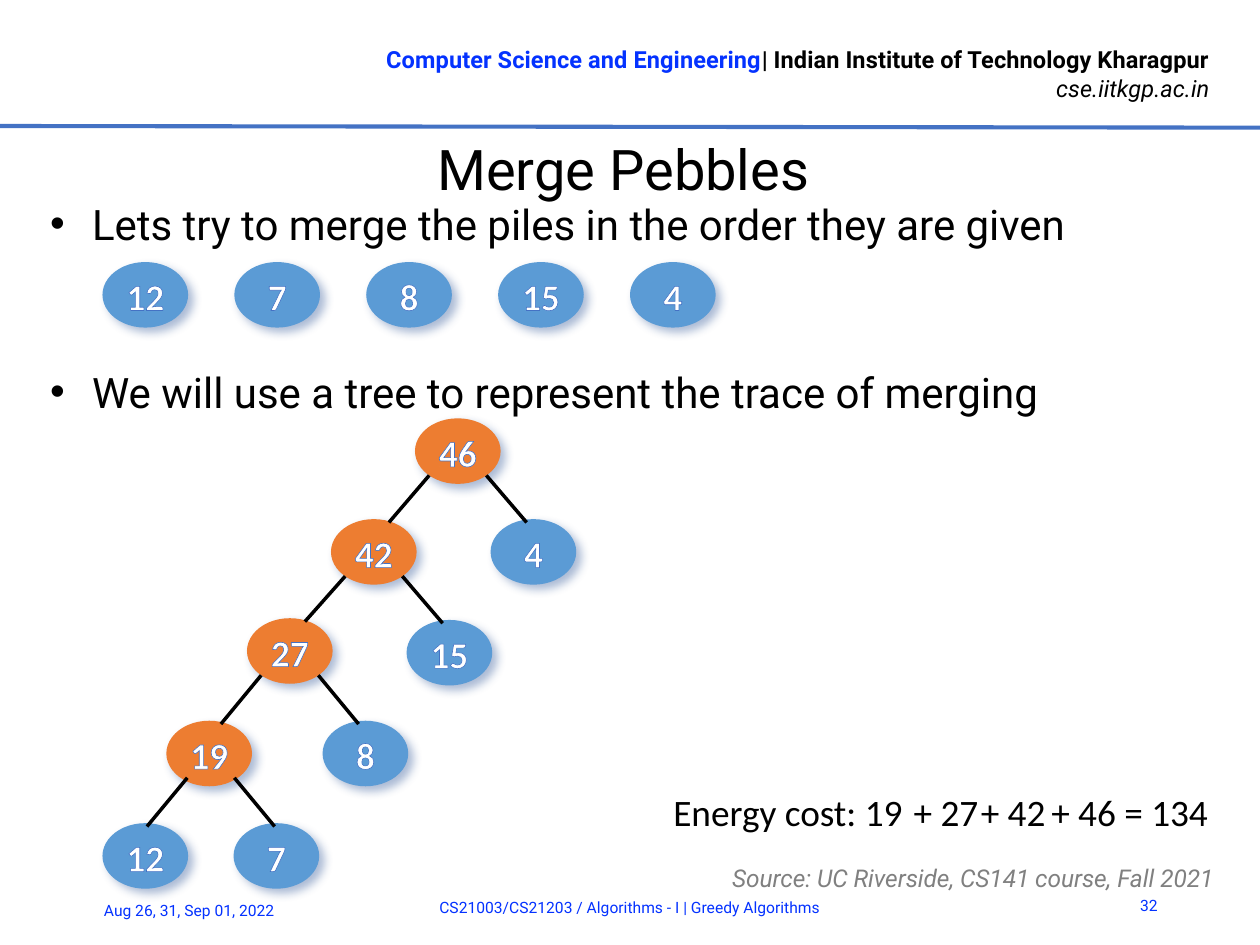
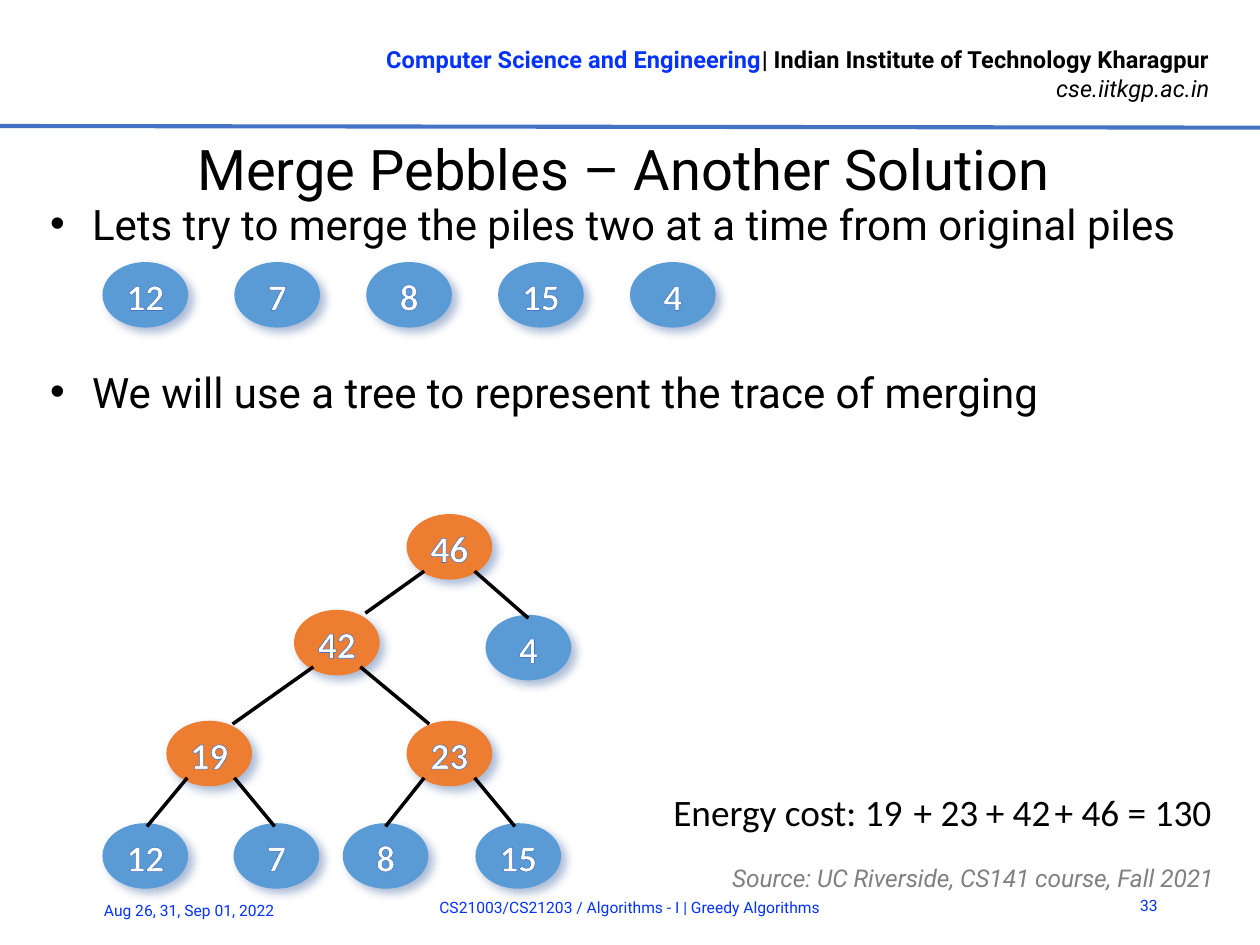
from dataclasses import dataclass

from pptx import Presentation
from pptx.dml.color import RGBColor as Rgb
from pptx.enum.shapes import MSO_CONNECTOR as Link, MSO_SHAPE as Kind
from pptx.enum.text import MSO_ANCHOR as Anchor, MSO_AUTO_SIZE as Auto, PP_ALIGN as Align
from pptx.oxml import parse_xml
from pptx.oxml.ns import nsdecls, qn
from pptx.util import Inches, Pt


@dataclass(frozen=True)
class Theme:
    head: str = "Roboto"
    body: str = "Calibri"
    ink: str = "000000"
    blue: str = "0432FF"
    rule: str = "4472C4"
    grey: str = "808080"
    white: str = "FFFFFF"
    leaf: str = "5B9BD5"
    sum: str = "ED7D31"
    shade: str = "2F5597"
    title_pt: float = 24
    list_pt: float = 18
    node_pt: float = 16
    note_pt: float = 10.5
    band_pt: float = 10.13
    foot_pt: float = 6.75


T = Theme()
WIDTH = 7.5
NODE_W, NODE_H = 0.51, 0.39
PILES = [12, 7, 8, 15, 4]
GROW = {"word_wrap": False, "auto_size": Auto.SHAPE_TO_FIT_TEXT}
MID = {"vertical_anchor": Anchor.MIDDLE}
LIST = {"line_spacing": Pt(18), "space_before": Pt(3), "space_after": Pt(3)}

# value: (left, top, parent, start and end shift of the edge from the node centres)
ORDER_TREE = {
    46: (2.47, 2.49, None, 0, 0),
    42: (1.97, 3.09, 46, -0.17, 0.09),
    4: (2.92, 3.09, 46, 0.17, -0.04),
    27: (1.47, 3.68, 42, -0.17, 0.09),
    15: (2.42, 3.69, 42, 0.17, -0.04),
    19: (0.99, 4.29, 27, -0.17, 0.07),
    8: (1.92, 4.29, 27, 0.17, -0.04),
    12: (0.61, 4.9, 19, -0.13, 0.01),
    7: (1.39, 4.9, 19, 0.15, -0.01),
}
PAIR_TREE = {
    46: (2.42, 3.06, None, 0, 0),
    42: (1.75, 3.63, 46, -0.15, 0.17),
    4: (2.89, 3.66, 46, 0.15, 0),
    19: (0.99, 4.29, 42, -0.14, 0.14),
    23: (2.42, 4.29, 42, 0.14, -0.12),
    12: (0.61, 4.9, 19, -0.13, 0.01),
    7: (1.39, 4.9, 19, 0.15, -0.01),
    8: (2.04, 4.9, 23, -0.15, 0),
    15: (2.83, 4.9, 23, 0.15, -0.02),
}
SLIDES = [
    ("32", "Merge Pebbles",
     "Lets try to merge the piles in the order they are given", ORDER_TREE,
     [(5.29, 0.64, " + 27"), (5.69, 0.64, " + 42"), (6.11, 1.2, " + 46 = 134")]),
    ("33", "Merge Pebbles – Another Solution",
     "Lets try to merge the piles two at a time from original piles", PAIR_TREE,
     [(5.29, 0.64, " + 23"), (5.72, 0.64, " + 42"), (6.13, 1.2, " + 46 = 130")]),
]


def apply(item, form):
    for key, val in form.items():
        setattr(item, key, val)


def add_run(para, words, size, color=T.ink, name=T.head, **form):
    run = para.add_run()
    run.text = words
    apply(run.font, {"name": name, "size": Pt(size), **form})
    run.font.color.rgb = Rgb.from_string(color)
    return run


def add_text(slide, box, lines, frame={}, form={}):
    """Add a text box; each line is a list of (words, size, run format)."""
    area = slide.shapes.add_textbox(*map(Inches, box)).text_frame
    apply(area, {"word_wrap": True, **frame})
    for num, runs in enumerate(lines):
        para = area.add_paragraph() if num else area.paragraphs[0]
        apply(para, form)
        for words, size, look in runs:
            add_run(para, words, size, **look)
    return area.paragraphs


def add_line(slide, start, end, color, width):
    line = slide.shapes.add_connector(Link.STRAIGHT, *map(Inches, start + end))
    line.line.color.rgb = Rgb.from_string(color)
    line.line.width = Pt(width)
    line._element.spPr.append(parse_xml(f"<a:effectLst {nsdecls('a')}/>"))


def add_node(slide, value, left, top, color):
    node = slide.shapes.add_shape(Kind.OVAL, *map(Inches, (left, top, NODE_W, NODE_H)))
    node.fill.solid()
    node.fill.fore_color.rgb = Rgb.from_string(color)
    node.line.fill.background()
    node.shadow.inherit = False
    node._element.spPr.find(qn("a:effectLst")).append(parse_xml(
        f'<a:outerShdw {nsdecls("a")} blurRad="{Pt(4)}" dist="{Pt(3)}" dir="2700000" '
        f'algn="tl" rotWithShape="0"><a:srgbClr val="{T.shade}">'
        '<a:alpha val="40000"/></a:srgbClr></a:outerShdw>'))
    area = node.text_frame
    apply(area, {"word_wrap": False, "margin_left": 0, "margin_right": 0,
                 "margin_top": Inches(0.01), "margin_bottom": 0, **MID})
    para = area.paragraphs[0]
    para.alignment = Align.CENTER
    run = add_run(para, str(value), T.node_pt, T.white, T.body, bold=True)
    run.font._element.insert(0, parse_xml(
        f'<a:ln {nsdecls("a")} w="{Pt(0.8)}"><a:solidFill>'
        f'<a:srgbClr val="{T.rule}"/></a:solidFill></a:ln>'))


def add_tree(slide, tree):
    """Draw the nodes, merged sums in their own colour, then the edges."""
    sums = {spot[2] for spot in tree.values()}
    for value, (left, top, *_) in tree.items():
        add_node(slide, value, left, top, T.sum if value in sums else T.leaf)
    for left, top, root, foot, tip in tree.values():
        if root:
            root_x, root_y = tree[root][:2]
            add_line(slide, (root_x + NODE_W / 2 + foot, root_y + 0.34),
                     (left + NODE_W / 2 + tip, top + 0.02), T.ink, 1.5)


def add_list(slide, items):
    lines = [[(item, T.list_pt, {})] for item in items]
    paras = add_text(slide, (0.2, 1.18, 7.03, 4.05), lines, form=LIST)
    paras[1].space_before = Pt(51)
    for para in paras:
        props = para._p.get_or_add_pPr()
        props.set("marL", str(Inches(0.25)))
        props.set("indent", str(-Inches(0.25)))
        for mark in ('buFont {} typeface="Arial"', 'buChar {} char="•"'):
            props.append(parse_xml(f"<a:{mark.format(nsdecls('a'))}/>"))


def add_frame(slide, title, page):
    """Add the band, title, source note and footer."""
    add_text(slide, (1.91, 0.22, 5.39, 0.44), [
        [("Computer Science and Engineering", T.band_pt, {"color": T.blue, "bold": True}),
         ("| Indian Institute of Technology Kharagpur", T.band_pt, {"bold": True})],
        [("cse.iitkgp.ac.in", T.band_pt, {"italic": True})],
    ], GROW, {"alignment": Align.RIGHT})
    add_line(slide, (0, 0.75), (WIDTH, 0.76), T.rule, 1.75)
    flush = {"margin_left": 0, "margin_top": Inches(0.01),
             "margin_right": 0, "margin_bottom": 0}
    add_text(slide, (0.24, 0.79, 6.94, 0.41), [[(title, T.title_pt, {})]],
             {**MID, **flush}, {"alignment": Align.CENTER, "space_before": Pt(0.5)})
    add_text(slide, (4.26, 5.09, 3.18, 0.2),
             [[("Source: UC Riverside, CS141 course, Fall 2021", T.note_pt,
                {"color": T.grey, "italic": True})]], MID, LIST)
    high = {"vertical_anchor": Anchor.TOP, "margin_top": Inches(0.03)}
    for box, words, side, frame in (
        ((0.52, 5.33, 1.31, 0.3), "Aug 26, 31, Sep 01, 2022", Align.LEFT, high),
        ((1.24, 5.25, 5.02, 0.3), "CS21003/CS21203 / Algorithms - I | Greedy Algorithms",
         Align.CENTER, MID),
        ((6.62, 5.24, 0.37, 0.3), page, Align.RIGHT, MID),
    ):
        add_text(slide, box, [[(words, T.foot_pt, {"color": T.blue})]],
                 frame, {"alignment": side})


def add_cost(slide, terms):
    for left, width, words in [(3.91, 1.59, "Energy cost: 19"), *terms]:
        add_text(slide, (left, 4.65, width, 0.37),
                 [[(words, T.node_pt, {"name": T.body})]], GROW)


def main():
    deck = Presentation()
    deck.slide_width, deck.slide_height = Inches(WIDTH), Inches(WIDTH * 3 / 4)
    for page, title, task, tree, terms in SLIDES:
        slide = deck.slides.add_slide(deck.slide_layouts[6])
        add_frame(slide, title, page)
        add_list(slide, [task, "We will use a tree to represent the trace of merging"])
        for num, pile in enumerate(PILES):
            add_node(slide, pile, 0.61 + num * 0.785, 1.56, T.leaf)
        add_tree(slide, tree)
        add_cost(slide, terms)
    deck.save("out.pptx")


if __name__ == "__main__":
    main()
